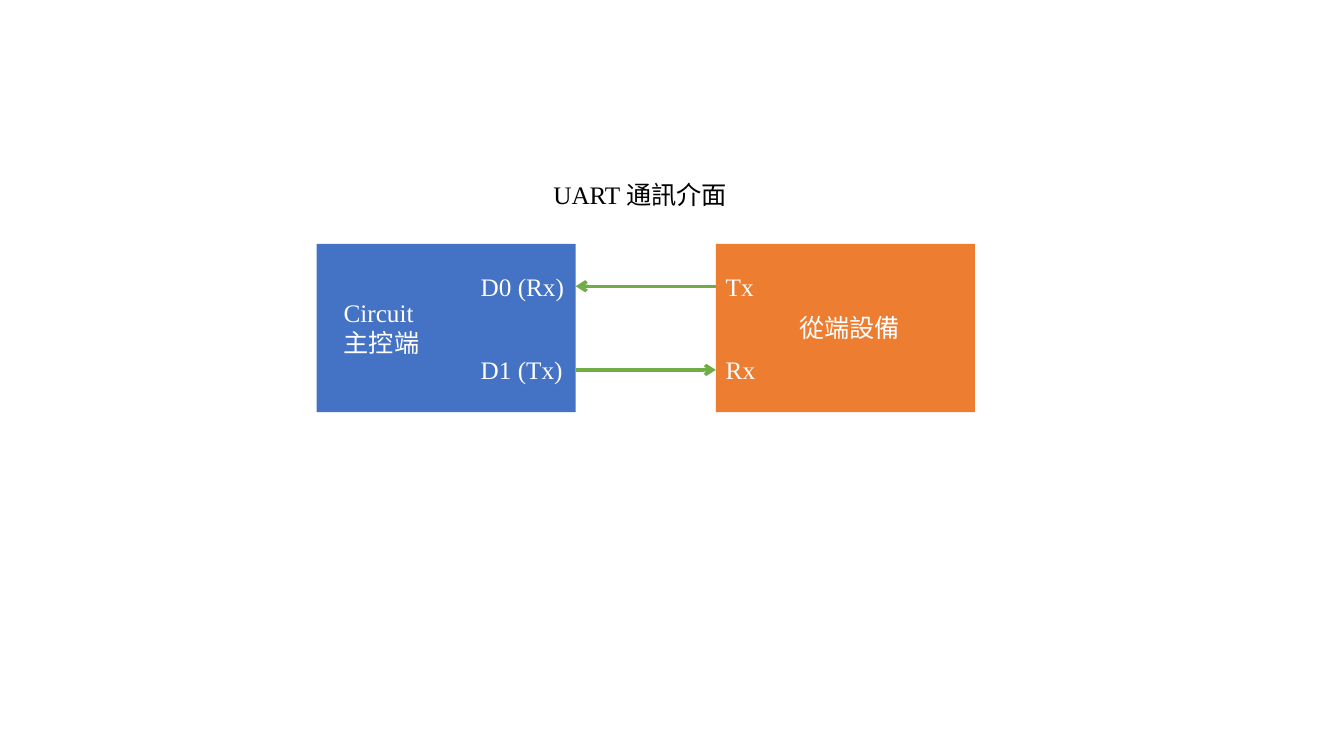
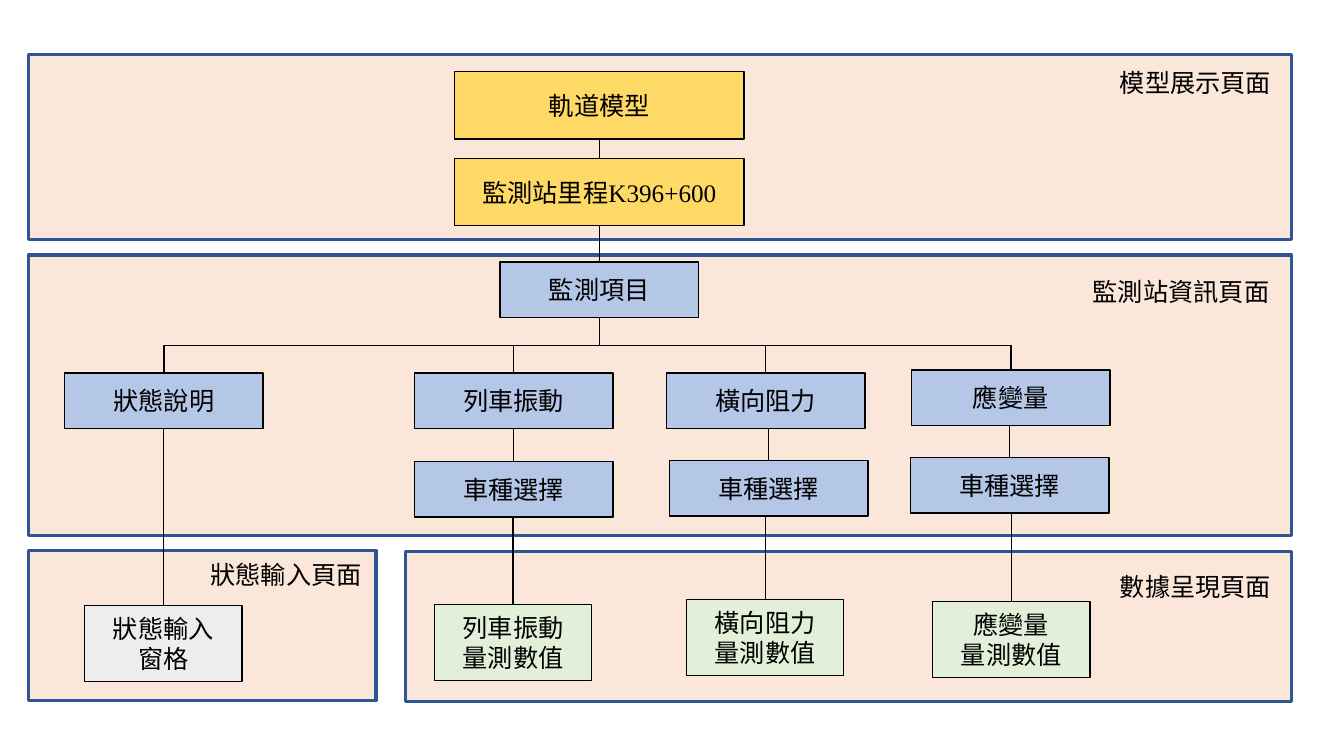
from lxml.etree import SubElement
from pptx import Presentation
from pptx.dml.color import RGBColor
from pptx.enum.shapes import MSO_CONNECTOR, MSO_SHAPE
from pptx.enum.text import MSO_ANCHOR, PP_ALIGN
from pptx.oxml.ns import qn
from pptx.util import Pt

PX = 9144  # EMU per px, 100 px to the inch
BLACK, WHITE, GREEN = "000000", "FFFFFF", "70AD47"
LATIN_FONT, ASIAN_FONT = "Times New Roman", "Noto Sans CJK SC"
TEXT_SIZE = 18

# Slide 1: text, left, top, width, height
DEVICE_TOP, DEVICE_WIDTH, DEVICE_HEIGHT = 242, 257, 167
MASTER_LEFT, SLAVE_LEFT = 314, 710
MASTER_RIGHT = MASTER_LEFT + DEVICE_WIDTH
UART_TITLE = ("UART 通訊介面", 539, 173, 204, 40)
DEVICE_NAMES = [
    ("Circuit\v主控端", 331, 290, 125, 71),
    ("從端設備", 783, 305, 136, 40),
]
PIN_WIDTH, PIN_HEIGHT = 104, 40
# master pin, slave pin, top, whether the signal leaves the master
PIN_ROWS = [("D0 (Rx)", "Tx", 264, False), ("D1 (Tx)", "Rx", 347, True)]

# Slide 2: panels as left, top, width, height
PANEL_FILL, PANEL_LINE, PANEL_ALPHA = "F8CBAD", "2F5597", 45
PANELS = [
    (28, 546, 345, 149),
    (402, 547, 879, 149),
    (28, 253, 1253, 278),
    (28, 54, 1253, 184),
]
PANEL_LABELS = [
    ("模型展示頁面", 1101, 62, 170, 40),
    ("監測站資訊頁面", 1074, 269, 197, 40),
    ("數據呈現頁面", 1101, 562, 170, 40),
    ("狀態輸入頁面", 199, 550, 170, 40),
]
# Box styles: fill, width, height
BOX_STYLES = {
    "model": ("FFD966", 287, 67),
    "item": ("B4C7E7", 197, 55),
    "value": ("E2F0D9", 156, 75),
    "input": ("EDEDED", 156, 75),
}
# Each chain runs downwards: style, text, left, top
TRUNK = [
    ("model", "軌道模型", 451, 71),
    ("model", "監測站里程K396+600", 451, 157),
    ("item", "監測項目", 496, 260),
]
BRANCHES = [
    [("item", "狀態說明", 64, 370),
     ("input", "狀態輸入\n窗格", 84, 601)],
    [("item", "列車振動", 411, 370),
     ("item", "車種選擇", 411, 458),
     ("value", "列車振動\n量測數值", 431, 600)],
    [("item", "橫向阻力", 661, 370),
     ("item", "車種選擇", 664, 457),
     ("value", "橫向阻力\n量測數值", 681, 595)],
    [("item", "應變量", 904, 367),
     ("item", "車種選擇", 903, 454),
     ("value", "應變量\n量測數值", 925, 597)],
]
BUS_TOP = 343


def color(hex_text):
    return RGBColor.from_string(hex_text)


def emu(*lengths):
    return [round(length * PX) for length in lengths]


def set_text(shape, text, text_color, align=PP_ALIGN.LEFT):
    frame = shape.text_frame
    frame.text = text
    frame.word_wrap = True
    for paragraph in frame.paragraphs:
        paragraph.alignment = align
        for run in paragraph.runs:
            run.font.size = Pt(TEXT_SIZE)
            run.font.name = LATIN_FONT
            run.font.color.rgb = color(text_color)
            SubElement(run.font._element, qn("a:ea"), typeface=ASIAN_FONT)


def add_label(slide, text, left, top, width, height, text_color=BLACK):
    label = slide.shapes.add_textbox(*emu(left, top, width, height))
    set_text(label, text, text_color)
    label.text_frame.margin_right = 0


def add_box(slide, left, top, width, height, fill, line=None, weight=1, alpha=None):
    box = slide.shapes.add_shape(MSO_SHAPE.RECTANGLE, *emu(left, top, width, height))
    box.shadow.inherit = False
    box.fill.solid()
    box.fill.fore_color.rgb = color(fill)
    if alpha:
        fill_color = box.fill._xPr.find(qn("a:solidFill"))[0]
        SubElement(fill_color, qn("a:alpha"), val=str(alpha * 1000))
    if line:
        box.line.color.rgb = color(line)
        box.line.width = Pt(weight)
    else:
        box.line.fill.background()
    return box


def add_line(slide, start, end, line=BLACK, weight=1, arrow=False,
             kind=MSO_CONNECTOR.STRAIGHT):
    connector = slide.shapes.add_connector(kind, *emu(*start, *end))
    connector.line.color.rgb = color(line)
    connector.line.width = Pt(weight)
    if arrow:
        SubElement(connector.line._get_or_add_ln(), qn("a:tailEnd"), type="arrow")
    SubElement(connector._element.spPr, qn("a:effectLst"))
    return connector


def add_drop(slide, start, end, bend_top):
    """Elbow that leaves downwards, turns at bend_top and arrives downwards."""
    connector = add_line(slide, start, end, kind=MSO_CONNECTOR.ELBOW)
    across, down = abs(end[0] - start[0]), end[1] - start[1]
    center_x, center_y = (start[0] + end[0]) / 2, (start[1] + end[1]) / 2
    # The preset runs sideways, so its frame is turned a quarter
    connector.left, connector.top, connector.width, connector.height = emu(
        center_x - down / 2, center_y - across / 2, down, across)
    properties = connector._element.spPr
    frame = properties.find(qn("a:xfrm"))
    to_right = end[0] > start[0]
    frame.set("rot", str((270 if to_right else 90) * 60000))
    frame.set("flipH", "1" if to_right else "0")
    bend = round((bend_top - start[1]) / down * 100000)
    guides = properties.find(qn("a:prstGeom")).find(qn("a:avLst"))
    SubElement(guides, qn("a:gd"), name="adj1", fmla=f"val {bend}")


def top_center(node):
    style, _, left, top = node
    return left + BOX_STYLES[style][1] / 2, top


def bottom_center(node):
    center, top = top_center(node)
    return center, top + BOX_STYLES[node[0]][2]


def add_chain(slide, nodes):
    for upper, lower in zip(nodes, nodes[1:]):
        center, top = top_center(lower)
        add_line(slide, (center, bottom_center(upper)[1]), (center, top))
    for style, text, left, top in nodes:
        fill, width, height = BOX_STYLES[style]
        box = add_box(slide, left, top, width, height, fill, BLACK)
        set_text(box, text, BLACK, PP_ALIGN.CENTER)
        box.text_frame.vertical_anchor = MSO_ANCHOR.MIDDLE


def build_uart(slide):
    for left, fill in ((MASTER_LEFT, "4472C4"), (SLAVE_LEFT, "ED7D31")):
        add_box(slide, left, DEVICE_TOP, DEVICE_WIDTH, DEVICE_HEIGHT, fill)
    add_label(slide, *UART_TITLE)
    for name in DEVICE_NAMES:
        add_label(slide, *name, text_color=WHITE)
    # Pins and the signals between them
    for master_pin, slave_pin, top, outgoing in PIN_ROWS:
        for pin, left in ((master_pin, MASTER_RIGHT - PIN_WIDTH), (slave_pin, SLAVE_LEFT)):
            add_label(slide, pin, left, top, PIN_WIDTH, PIN_HEIGHT, WHITE)
        middle = top + PIN_HEIGHT / 2
        ends = [(MASTER_RIGHT, middle), (SLAVE_LEFT, middle)]
        start, end = ends if outgoing else reversed(ends)
        add_line(slide, start, end, GREEN, 2.5, arrow=True)


def build_page_map(slide):
    for panel in PANELS:
        add_box(slide, *panel, PANEL_FILL, PANEL_LINE, 2.25, PANEL_ALPHA)
    for label in PANEL_LABELS:
        add_label(slide, *label)
    # Trunk, then one drop and chain per branch
    add_chain(slide, TRUNK)
    for branch in BRANCHES:
        add_drop(slide, bottom_center(TRUNK[-1]), top_center(branch[0]), BUS_TOP)
        add_chain(slide, branch)


def main():
    presentation = Presentation()
    presentation.slide_width, presentation.slide_height = emu(1333, 750)
    for build in (build_uart, build_page_map):
        build(presentation.slides.add_slide(presentation.slide_layouts[6]))
    presentation.save("out.pptx")


if __name__ == "__main__":
    main()
